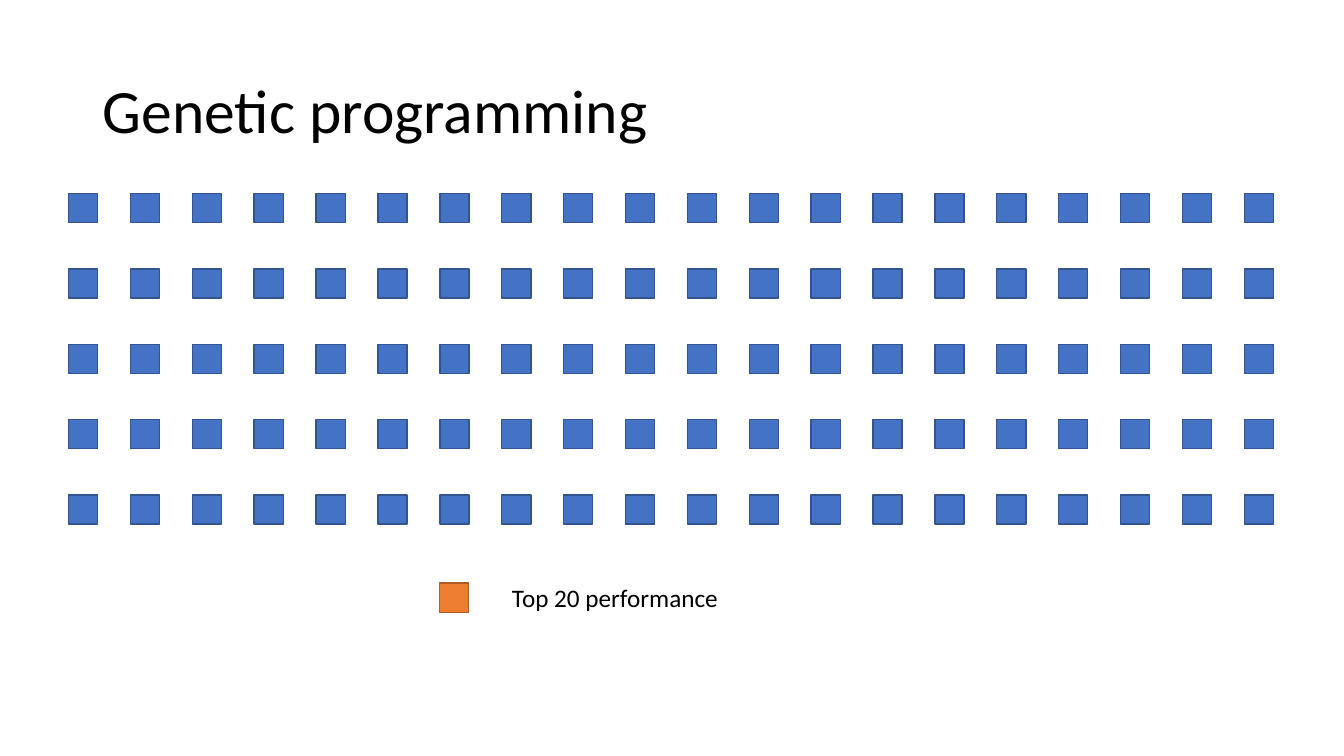
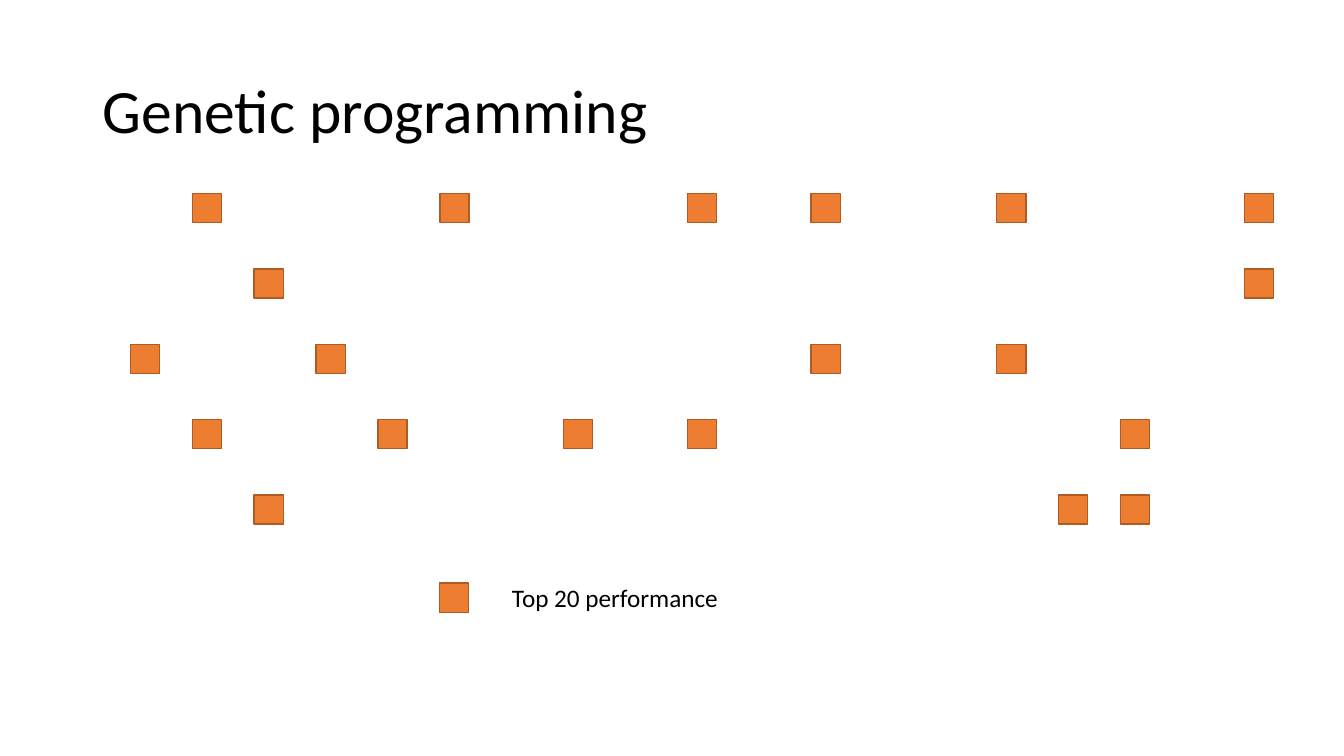
from itertools import product

from pptx import Presentation
from pptx.dml.color import RGBColor
from pptx.enum.shapes import MSO_SHAPE as Shape
from pptx.enum.text import MSO_ANCHOR as Anchor, MSO_AUTO_SIZE as AutoSize, PP_ALIGN as Align
from pptx.util import Inches, Pt

BLACK = RGBColor(0x00, 0x00, 0x00)
BLUE = RGBColor(0x44, 0x72, 0xC4)
DARK_BLUE = RGBColor(0x32, 0x54, 0x91)
ORANGE = RGBColor(0xED, 0x7D, 0x31)
DARK_ORANGE = RGBColor(0xAF, 0x5C, 0x24)

INDIVIDUAL = (BLUE, DARK_BLUE)
TOP_PERFORMER = (ORANGE, DARK_ORANGE)

FONT = "Calibri"
SIDE = 0.29
ROWS, COLUMNS = 5, 20
TITLE_BOX = (0.92, 0.4, 11.5, 1.45)
GRID_BOX = (0.68, 1.92, 11.95, 3.28)
LEGEND_BOX = (4.36, 5.73, 2.88, 0.4)

POPULATION = list(product(range(ROWS), range(COLUMNS)))
TOP_COLUMNS = [
    (2, 6, 10, 12, 15, 19),
    (3, 19),
    (1, 4, 12, 15),
    (2, 5, 8, 10, 17),
    (3, 16, 17),
]
SELECTION = [(row, column) for row, columns in enumerate(TOP_COLUMNS) for column in columns]


def add_run(paragraph, text, size):
    """Append a black run in the shared font."""
    run = paragraph.add_run()
    run.text = text
    run.font.name = FONT
    run.font.size = Pt(size)
    run.font.color.rgb = BLACK


def add_square(slide, left, top, colours):
    """Draw one member of the population in its fill and line colours."""
    square = slide.shapes.add_shape(
        Shape.RECTANGLE, Inches(left), Inches(top), Inches(SIDE), Inches(SIDE))
    fill, line = colours
    square.shadow.inherit = False
    square.fill.solid()
    square.fill.fore_color.rgb = fill
    square.line.color.rgb = line
    square.line.width = Pt(1)


def set_title(slide, box, text):
    """Place and fill the title placeholder."""
    title = slide.shapes.title
    title.left, title.top, title.width, title.height = map(Inches, box)
    title.text_frame.vertical_anchor = Anchor.MIDDLE
    paragraph = title.text_frame.paragraphs[0]
    paragraph.alignment = Align.LEFT
    paragraph.line_spacing = 0.9
    add_run(paragraph, text, 44)


def add_grid(slide, box, cells, colours):
    """Draw the given cells of the population grid, spread evenly over the box."""
    left, top, width, height = box
    column_step = (width - SIDE) / (COLUMNS - 1)
    row_step = (height - SIDE) / (ROWS - 1)
    for row, column in cells:
        add_square(slide, left + column * column_step, top + row * row_step, colours)


def add_legend(slide, box, text, colours):
    """Draw a key square with its label to the right."""
    left, top, width, height = box
    label_offset = 0.62
    add_square(slide, left, top + (height - SIDE) / 2, colours)
    label = slide.shapes.add_textbox(
        Inches(left + label_offset), Inches(top), Inches(width - label_offset), Inches(height))
    label.text_frame.word_wrap = False
    label.text_frame.auto_size = AutoSize.SHAPE_TO_FIT_TEXT
    add_run(label.text_frame.paragraphs[0], text, 18)


def add_population_slide(presentation, cells, colours):
    """Add a slide with the title, the chosen grid cells and the legend."""
    slide = presentation.slides.add_slide(presentation.slide_layouts.get_by_name("Title Only"))
    set_title(slide, TITLE_BOX, "Genetic programming")
    add_grid(slide, GRID_BOX, cells, colours)
    add_legend(slide, LEGEND_BOX, "Top 20 performance", TOP_PERFORMER)


def main():
    """Build and save the presentation."""
    presentation = Presentation()
    presentation.slide_width = Inches(13.33)
    presentation.slide_height = Inches(7.5)
    add_population_slide(presentation, POPULATION, INDIVIDUAL)
    add_population_slide(presentation, SELECTION, TOP_PERFORMER)
    presentation.save("out.pptx")


if __name__ == "__main__":
    main()
